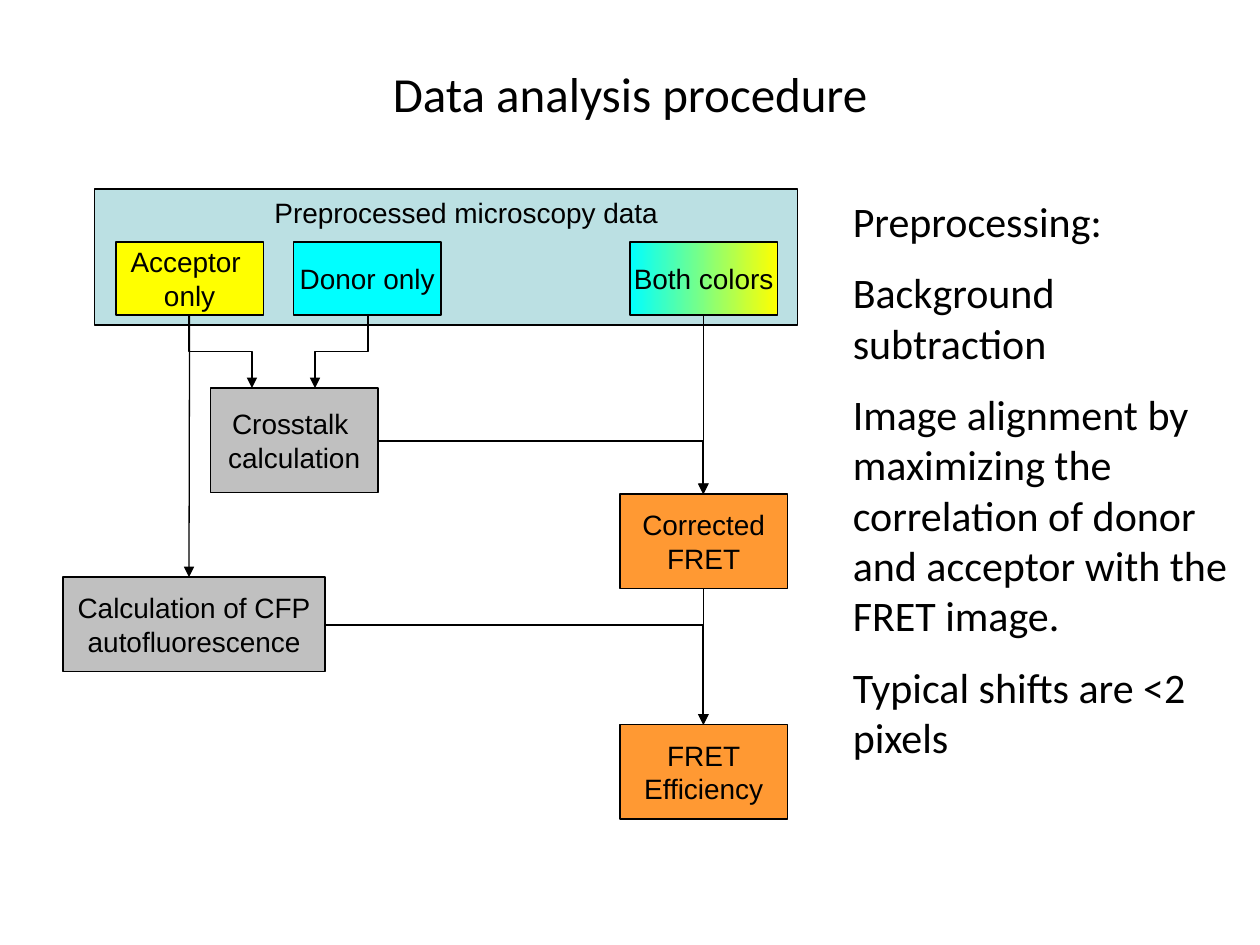
from dataclasses import dataclass

from lxml.etree import SubElement
from pptx import Presentation
from pptx.dml.color import RGBColor
from pptx.enum.shapes import MSO_CONNECTOR, MSO_SHAPE
from pptx.enum.text import MSO_ANCHOR, PP_ALIGN
from pptx.oxml.ns import qn
from pptx.util import Inches, Pt


@dataclass(frozen=True)
class Theme:
    ink: str = "000000"
    panel: str = "BBE0E3"
    acceptor: str = "FFFF00"
    donor: str = "00FFFF"
    calculation: str = "C0C0C0"
    result: str = "FF9933"
    label_font: str = "Arial"
    body_font: str = "Calibri"
    label_size: int = 16
    body_size: int = 24
    title_size: int = 28
    line_width: float = 0.75


THEME = Theme()
BOTTOM, TOP = 2, 0


def style_text(frame, font, size, align=PP_ALIGN.LEFT):
    for paragraph in frame.paragraphs:
        paragraph.alignment = align
        for run in paragraph.runs:
            run.font.name = font
            run.font.size = Pt(size)
            run.font.color.rgb = RGBColor.from_string(THEME.ink)


def add_step(slide, box, fill, label="", preset=MSO_SHAPE.FLOWCHART_PROCESS):
    """Outlined box; two fill colours make a left-to-right gradient."""
    step = slide.shapes.add_shape(preset, *map(Inches, box))
    step.shadow.inherit = False
    if isinstance(fill, tuple):
        step.fill.gradient()
        step.fill.gradient_angle = 0
        for stop, color, position in zip(step.fill.gradient_stops, fill, (0, 1)):
            stop.color.rgb = RGBColor.from_string(color)
            stop.position = position
    else:
        step.fill.solid()
        step.fill.fore_color.rgb = RGBColor.from_string(fill)
    step.line.color.rgb = RGBColor.from_string(THEME.ink)
    step.line.width = Pt(THEME.line_width)
    if label:
        frame = step.text_frame
        frame.text = label
        frame.word_wrap = False
        frame.vertical_anchor = MSO_ANCHOR.MIDDLE
        style_text(frame, THEME.label_font, THEME.label_size, PP_ALIGN.CENTER)
    return step


def add_arrow(slide, start, end, kind=MSO_CONNECTOR.STRAIGHT):
    arrow = slide.shapes.add_connector(kind, *map(Inches, (*start, *end)))
    arrow.line.color.rgb = RGBColor.from_string(THEME.ink)
    arrow.line.width = Pt(THEME.line_width)
    SubElement(arrow.line._get_or_add_ln(), qn("a:tailEnd"), type="triangle")
    SubElement(arrow._element.spPr, qn("a:effectLst"))
    return arrow


def add_stepped_arrow(slide, start, end):
    """Down, across, down: a horizontal elbow turned about its centre."""
    (x1, y1), (x2, y2) = start, end
    middle_x, middle_y = (x1 + x2) / 2, (y1 + y2) / 2
    half_run, half_rise = (y2 - y1) / 2, abs(x2 - x1) / 2
    side = 1 if x2 > x1 else -1
    arrow = add_arrow(slide,
                      (middle_x + side * half_run, middle_y - half_rise),
                      (middle_x - side * half_run, middle_y + half_rise),
                      MSO_CONNECTOR.ELBOW)
    degrees = 270 if side > 0 else 90
    arrow._element.spPr.find(qn("a:xfrm")).set("rot", str(degrees * 60000))


def add_corner_arrow(slide, start, end):
    """Across, then down."""
    arrow = add_arrow(slide, start, end, MSO_CONNECTOR.ELBOW)
    arrow._element.spPr.find(qn("a:prstGeom")).set("prst", "bentConnector2")


def add_title(slide, box):
    title = slide.shapes.title
    title.left, title.top, title.width, title.height = map(Inches, box)
    title.text_frame.text = "Data analysis procedure"
    title.text_frame.vertical_anchor = MSO_ANCHOR.MIDDLE
    style_text(title.text_frame, THEME.body_font, THEME.title_size, PP_ALIGN.CENTER)


def add_input_panel(slide, left, top, width, height):
    """Microscopy data panel with its three image channels."""
    add_step(slide, (left, top, width, height), THEME.panel, preset=MSO_SHAPE.RECTANGLE)
    heading = slide.shapes.add_textbox(
        *map(Inches, (left + 1.33, top, 3.25, 0.37))).text_frame
    heading.text = "Preprocessed microscopy data"
    heading.word_wrap = False
    style_text(heading, THEME.label_font, THEME.label_size)

    channels = [
        (0.17, THEME.acceptor, "Acceptor \nonly"),
        (1.58, THEME.donor, "Donor only"),
        (4.25, (THEME.donor, THEME.acceptor), "Both colors"),
    ]
    return [add_step(slide, (left + offset, top + 0.42, 1.17, 0.58), fill, label)
            for offset, fill, label in channels]


def add_flowchart(slide, left, top):
    def at(x, y):
        return left + x, top + y

    acceptor, _, both = add_input_panel(slide, *at(0.25, 0), 5.58, 1.08)

    # Calculations and results
    add_step(slide, (*at(1.17, 1.58), 1.33, 0.83), THEME.calculation,
             "Crosstalk \ncalculation")
    add_step(slide, (*at(0, 3.08), 2.08, 0.75), THEME.calculation,
             "Calculation of CFP\nautofluorescence")
    corrected, efficiency = [
        add_step(slide, (*at(4.42, y), 1.33, 0.75), THEME.result, label)
        for y, label in ((2.42, "Corrected\nFRET"), (4.25, "FRET\nEfficiency"))]

    # Single channels feed the crosstalk calculation
    add_stepped_arrow(slide, at(1, 1), at(1.5, 1.58))
    add_stepped_arrow(slide, at(2.42, 1), at(2, 1.58))

    # Straight flow downwards
    add_arrow(slide, at(1, 1), at(1, 3.08)).begin_connect(acceptor, BOTTOM)
    for source, target, y1, y2 in ((both, corrected, 1, 2.42),
                                   (corrected, efficiency, 3.17, 4.25)):
        arrow = add_arrow(slide, at(5.08, y1), at(5.08, y2))
        arrow.begin_connect(source, BOTTOM)
        arrow.end_connect(target, TOP)

    # Corrections join the result column
    add_corner_arrow(slide, at(2.08, 3.46), at(5.08, 4.25))
    add_corner_arrow(slide, at(2.5, 2), at(5.08, 2.42))


def add_preprocessing_notes(slide, box):
    frame = slide.shapes.add_textbox(*map(Inches, box)).text_frame
    frame.word_wrap = True
    frame.text = "\n".join([
        "Preprocessing:",
        "Background subtraction",
        "Image alignment by maximizing the correlation of donor and acceptor "
        "with the FRET image.",
        "Typical shifts are <2 pixels",
    ])
    style_text(frame, THEME.body_font, THEME.body_size)
    for paragraph in frame.paragraphs[1:]:
        paragraph.space_before = Pt(THEME.body_size / 2)


def main():
    deck = Presentation()
    deck.slide_width, deck.slide_height = Inches(10), Inches(7.5)
    slide = deck.slides.add_slide(deck.slide_layouts.get_by_name("Title Only"))
    add_title(slide, (0.5, 0.3, 9, 0.87))
    add_flowchart(slide, 0.5, 1.5)
    add_preprocessing_notes(slide, (6.67, 1.5, 3.17, 4.75))
    deck.save("out.pptx")


if __name__ == "__main__":
    main()
